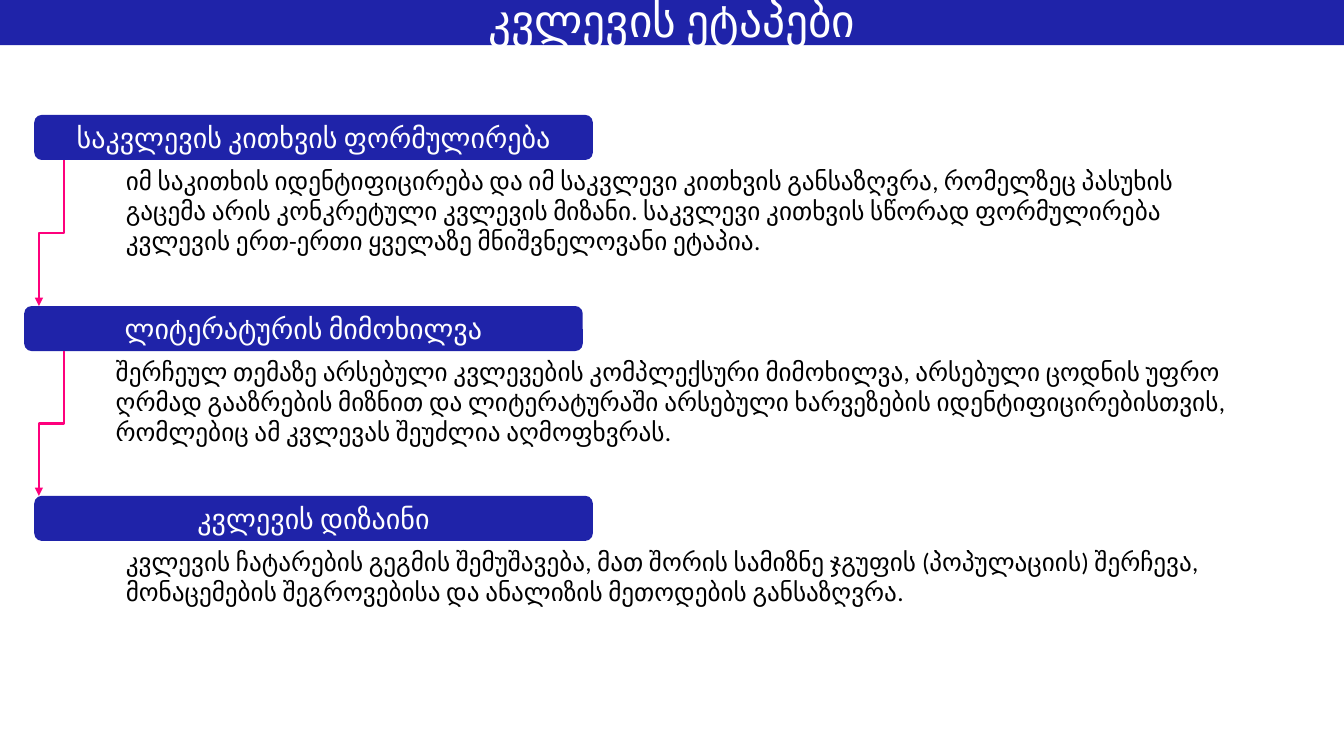
from collections import namedtuple
from dataclasses import dataclass
from itertools import pairwise

from lxml.etree import SubElement
from pptx import Presentation
from pptx.dml.color import RGBColor
from pptx.enum.shapes import MSO_CONNECTOR as Connector, MSO_SHAPE as Shape
from pptx.enum.text import MSO_ANCHOR as Anchor, MSO_AUTO_SIZE as AutoSize, PP_ALIGN as Align
from pptx.oxml.ns import qn
from pptx.util import Pt


@dataclass(frozen=True)
class Theme:
    font: str = "Calibri"
    blue: RGBColor = RGBColor(0x1F, 0x23, 0xA9)
    pink: RGBColor = RGBColor(0xFE, 0x00, 0x7C)
    white: RGBColor = RGBColor(0xFF, 0xFF, 0xFF)
    black: RGBColor = RGBColor(0, 0, 0)
    title_size: float = 32.4
    heading_size: float = 20
    body_size: float = 18


THEME = Theme()
Box = namedtuple("Box", "left top width height")
Step = namedtuple("Step", "left top heading body body_height")

SLIDE_WIDTH, SLIDE_HEIGHT = 960, 540
BAR_WIDTH, BAR_HEIGHT = 399, 32.2
BODY_INDENT, BODY_WIDTH = 58.3, 823.7
ARROW_START_X, ARROW_SHIFT = 46, 18.2

STEPS = [
    Step(24.5, 82.1, "საკვლევის კითხვის ფორმულირება",
         "იმ საკითხის იდენტიფიცირება და იმ საკვლევი კითხვის განსაზღვრა, რომელზეც პასუხის "
         "გაცემა არის კონკრეტული კვლევის მიზანი. საკვლევი კითხვის სწორად ფორმულირება "
         "კვლევის ერთ-ერთი ყველაზე მნიშვნელოვანი ეტაპია.", 72.7),
    Step(17.3, 218.6, "ლიტერატურის მიმოხილვა",
         "შერჩეულ თემაზე არსებული კვლევების კომპლექსური მიმოხილვა, არსებული ცოდნის უფრო "
         "ღრმად გააზრების მიზნით და ლიტერატურაში არსებული ხარვეზების იდენტიფიცირებისთვის, "
         "რომლებიც ამ კვლევას შეუძლია აღმოფხვრას.", 72.7),
    Step(24.5, 354.2, "კვლევის დიზაინი",
         "კვლევის ჩატარების გეგმის შემუშავება, მათ შორის სამიზნე ჯგუფის (პოპულაციის) შერჩევა, "
         "მონაცემების შეგროვებისა და ანალიზის მეთოდების განსაზღვრა.", 51.1),
]


def in_points(box):
    return [Pt(length) for length in box]


def write(frame, text, size, color, align, anchor):
    frame.word_wrap = True
    frame.vertical_anchor = anchor
    para = frame.paragraphs[0]
    para.alignment = align
    span = para.add_run()
    span.text = text
    span.font.name = THEME.font
    span.font.size = Pt(size)
    span.font.color.rgb = color
    return para


def add_title(slide, text, box):
    title = slide.shapes.title
    title.left, title.top, title.width, title.height = in_points(box)
    title.fill.solid()
    title.fill.fore_color.rgb = THEME.blue
    title.text_frame.auto_size = AutoSize.NONE
    para = write(title.text_frame, text, THEME.title_size, THEME.white,
                 Align.CENTER, Anchor.MIDDLE)
    para.line_spacing = 0.9


def add_heading_bar(slide, text, box):
    bar = slide.shapes.add_shape(Shape.ROUNDED_RECTANGLE, *in_points(box))
    bar.shadow.inherit = False
    bar.fill.solid()
    bar.fill.fore_color.rgb = THEME.blue
    bar.line.fill.background()
    write(bar.text_frame, text, THEME.heading_size, THEME.white, Align.CENTER, Anchor.MIDDLE)


def add_body(slide, text, box):
    frame = slide.shapes.add_textbox(*in_points(box)).text_frame
    write(frame, text, THEME.body_size, THEME.black, Align.LEFT, Anchor.TOP)
    frame.auto_size = AutoSize.SHAPE_TO_FIT_TEXT


def add_step(slide, step):
    bar = Box(step.left, step.top, BAR_WIDTH, BAR_HEIGHT)
    add_heading_bar(slide, step.heading, bar)
    add_body(slide, step.body, Box(bar.left + BODY_INDENT, bar.top + bar.height,
                                   BODY_WIDTH, step.body_height))


def add_step_arrow(slide, box):
    """Bent arrow from the top right of the box to its bottom left, by a quarter turn."""
    center_x, center_y = box.left + box.width / 2, box.top + box.height / 2
    half_run, half_shift = box.height / 2, box.width / 2
    arrow = slide.shapes.add_connector(
        Connector.ELBOW, Pt(center_x - half_run), Pt(center_y - half_shift),
        Pt(center_x + half_run), Pt(center_y + half_shift))
    arrow.line.color.rgb = THEME.pink
    arrow.line.width = Pt(1.5)
    properties = arrow.element.spPr
    properties.find(qn("a:xfrm")).set("rot", "5400000")
    SubElement(properties.find(qn("a:ln")), qn("a:tailEnd"), type="triangle")
    SubElement(properties, qn("a:effectLst"))


def add_stages_slide(deck):
    title_only = deck.slide_layouts[5]
    slide = deck.slides.add_slide(title_only)
    add_title(slide, "კვლევის ეტაპები", Box(0, 0, SLIDE_WIDTH, 32.2))
    for step in STEPS:
        add_step(slide, step)
    for step, following in pairwise(STEPS):
        start_y = step.top + BAR_HEIGHT
        add_step_arrow(slide, Box(ARROW_START_X - ARROW_SHIFT, start_y,
                                  ARROW_SHIFT, following.top - start_y))


def main():
    deck = Presentation()
    deck.slide_width, deck.slide_height = Pt(SLIDE_WIDTH), Pt(SLIDE_HEIGHT)
    add_stages_slide(deck)
    deck.save("out.pptx")


if __name__ == "__main__":
    main()
